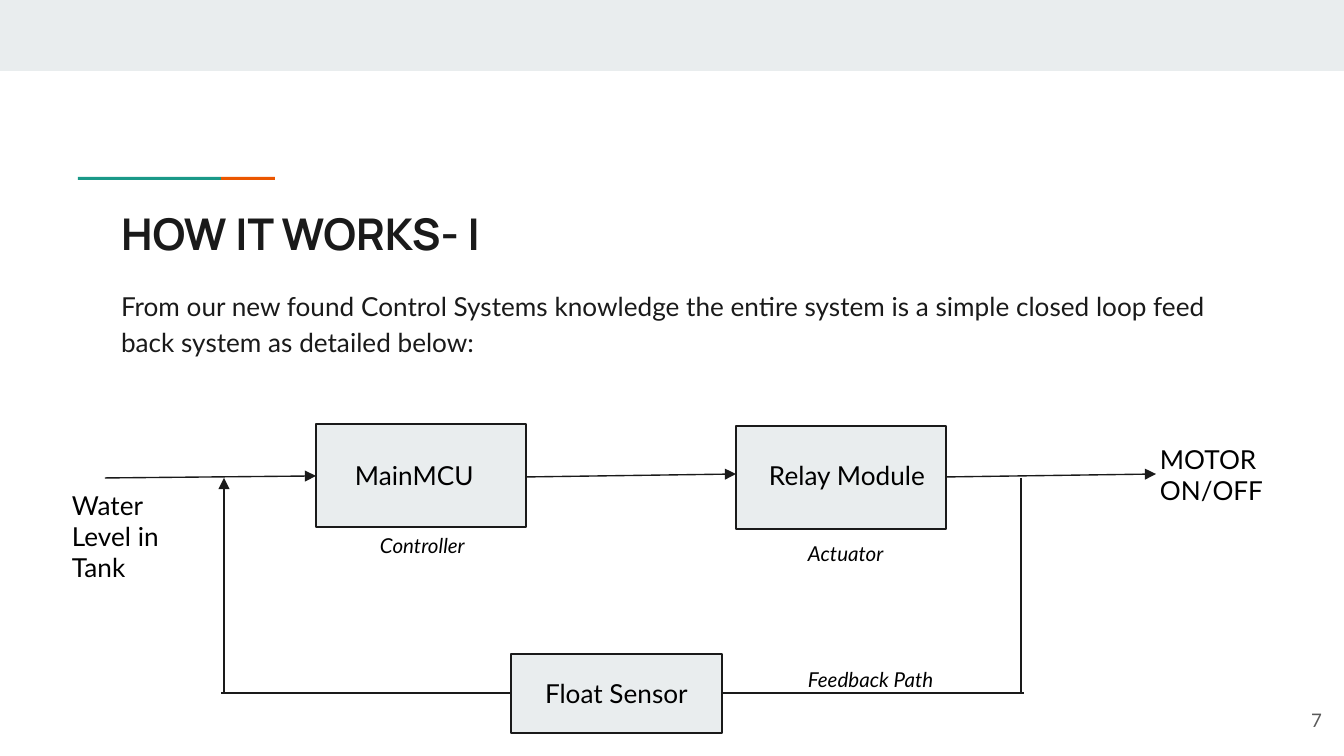
import pptx
import pptx.dml.color
import pptx.enum.shapes
import pptx.enum.text
import pptx.oxml.ns
import pptx.util
from lxml import etree

# Content: every place is in px (left, top, width, height)
SLIDE_SIZE = (1344, 756)
TITLE = ("HOW IT WORKS- I", (108, 194, 1130, 79))
INTRO = (
    "From our new found Control Systems knowledge the entire system "
    "is a simple closed loop feed back system as detailed below:",
    (108, 273, 1130, 332),
)
PAGE = ("7", (1254, 696, 81, 57))

BANDS = [
    ("panel", (0, 0, 1344, 71)),
    ("teal", (78, 177, 143, 3)),
    ("orange", (221, 177, 54, 3)),
]
BLOCKS = [
    (316, 424, 210, 103),
    (736, 426, 210, 103),
    (511, 654, 211, 79),
]
# (start, end, has an arrowhead)
SIGNALS = [
    ((105, 478), (316, 476), True),
    ((526, 477), (736, 474), True),
    ((946, 477), (1156, 474), True),
]
FEEDBACK = [
    ((1021, 478), (1021, 693), False),
    ((1024, 693), (221, 693), False),
    ((224, 693), (224, 478), True),
]
LABELS = [
    ("Water Level in Tank", (59, 476, 134, 122)),
    ("MainMCU", (342, 446, 184, 59)),
    ("Relay Module", (756, 446, 211, 59)),
    ("MOTOR ON/OFF", (1147, 430, 167, 90)),
    ("Float Sensor", (532, 664, 184, 59)),
]
CAPTIONS = [
    ("Controller", (367, 520, 198, 52)),
    ("Actuator", (795, 528, 198, 52)),
    ("Feedback Path", (795, 654, 198, 52)),
]

THEME = {
    "colors": {"panel": "E9EDEE", "teal": "1A9988", "orange": "EB5600",
               "ink": "1A1A1A", "label": "000000", "page": "595959"},
    "sizes": {"title": 23.4, "text": 14, "caption": 11, "page": 10},
    "fonts": {"title": "Manrope", "text": "Lato"},
    "line": 0.75,
    "inset": 13,
}
EMU_PER_PX = 914400 / 134.4


def px(length):
    return pptx.util.Emu(round(length * EMU_PER_PX))


def place(box):
    return [px(length) for length in box]


def color(name):
    return pptx.dml.color.RGBColor.from_string(THEME["colors"][name])


def write(holder, text, size, ink, font="text", bold=False, italic=False):
    """Fill a text holder with one left-aligned, top-anchored paragraph and return it."""
    frame = holder.text_frame
    frame.text = text
    frame.word_wrap = True
    frame.auto_size = pptx.enum.text.MSO_AUTO_SIZE.NONE
    frame.vertical_anchor = pptx.enum.text.MSO_ANCHOR.TOP
    frame.margin_left = frame.margin_right = px(THEME["inset"])
    frame.margin_top = frame.margin_bottom = px(THEME["inset"])
    paragraph = frame.paragraphs[0]
    paragraph.alignment = pptx.enum.text.PP_ALIGN.LEFT
    style = paragraph.runs[0].font
    style.name = THEME["fonts"][font]
    style.size = pptx.util.Pt(THEME["sizes"][size])
    style.color.rgb = color(ink)
    style.bold, style.italic = bold, italic
    return paragraph


def move(holder, box):
    holder.left, holder.top, holder.width, holder.height = place(box)


def add_rectangle(slide, box, fill, outlined=False):
    rectangle = slide.shapes.add_shape(
        pptx.enum.shapes.MSO_SHAPE.RECTANGLE, *place(box))
    rectangle.shadow.inherit = False
    rectangle.fill.solid()
    rectangle.fill.fore_color.rgb = color(fill)
    if outlined:
        rectangle.line.color.rgb = color("ink")
        rectangle.line.width = pptx.util.Pt(THEME["line"])
    else:
        rectangle.line.fill.background()


def add_wire(slide, start, end, arrow):
    wire = slide.shapes.add_connector(
        pptx.enum.shapes.MSO_CONNECTOR.STRAIGHT, *place(start + end))
    wire.line.color.rgb = color("ink")
    wire.line.width = pptx.util.Pt(THEME["line"])
    if arrow:
        etree.SubElement(wire.line._get_or_add_ln(),
                         pptx.oxml.ns.qn("a:tailEnd"), type="triangle")
    etree.SubElement(wire._element.spPr, pptx.oxml.ns.qn("a:effectLst"))


def add_text(slide, text, box, *style, **options):
    return write(slide.shapes.add_textbox(*place(box)), text, *style, **options)


def main():
    deck = pptx.Presentation()
    deck.slide_width, deck.slide_height = place(SLIDE_SIZE)
    slide = deck.slides.add_slide(deck.slide_layouts[1])

    for fill, box in BANDS:
        add_rectangle(slide, box, fill)

    heading, body = slide.placeholders
    move(heading, TITLE[1])
    write(heading, TITLE[0], "title", "ink", font="title", bold=True)

    move(body, INTRO[1])
    intro = write(body, INTRO[0], "text", "ink")
    intro.line_spacing = 1.15
    intro.space_before = pptx.util.Pt(0)
    intro.space_after = pptx.util.Pt(12)
    bullet = intro._p.get_or_add_pPr()
    bullet.set("marL", "0")
    bullet.set("indent", "0")
    etree.SubElement(bullet, pptx.oxml.ns.qn("a:buNone"))

    page = add_text(slide, *PAGE, "page", "page")
    page.alignment = pptx.enum.text.PP_ALIGN.RIGHT

    for wire in SIGNALS + FEEDBACK:
        add_wire(slide, *wire)
    for box in BLOCKS:
        add_rectangle(slide, box, "panel", outlined=True)
    for text, box in LABELS:
        add_text(slide, text, box, "text", "label")
    for text, box in CAPTIONS:
        add_text(slide, text, box, "caption", "label", italic=True)

    deck.save("out.pptx")


if __name__ == "__main__":
    main()
